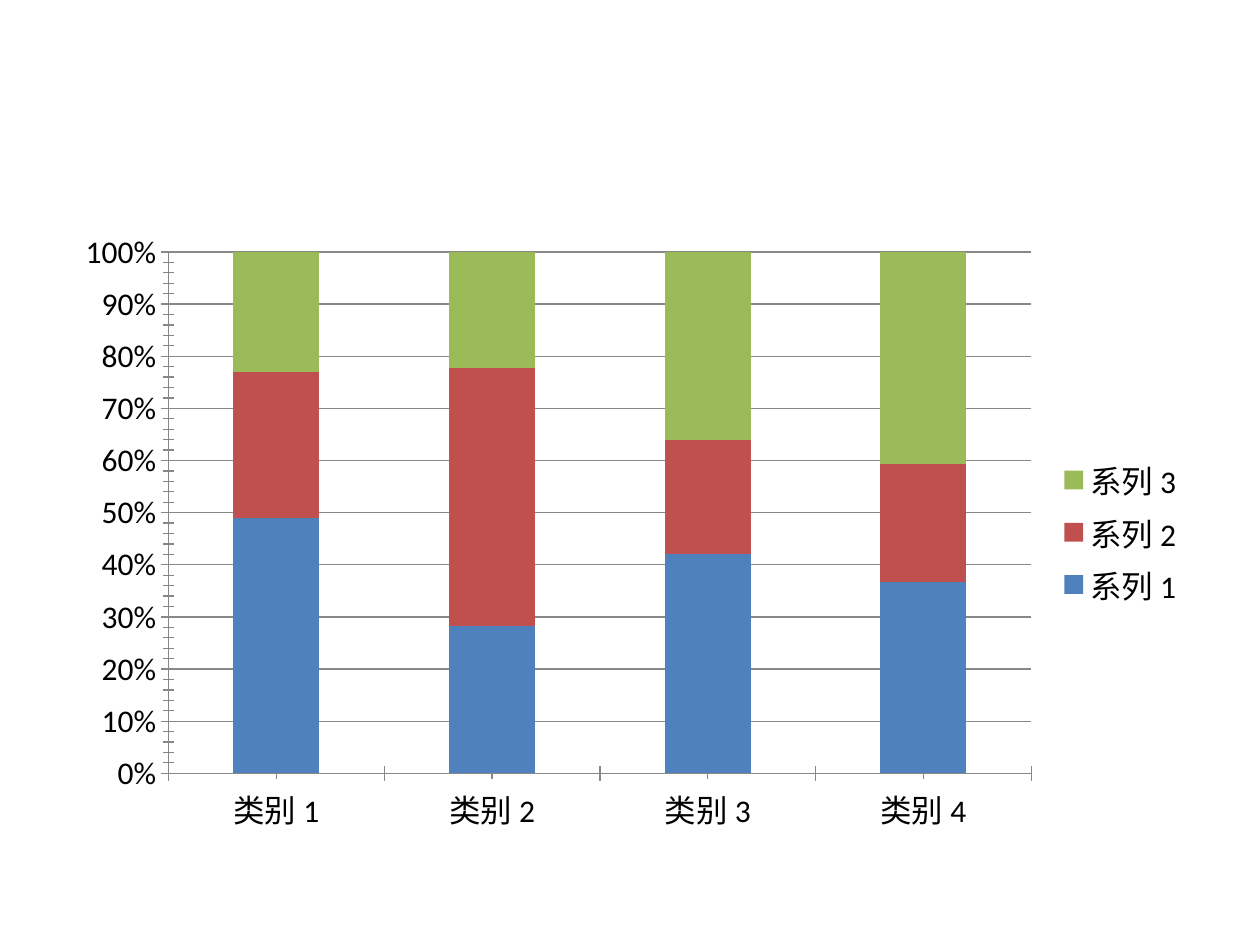
"""Build a slide with one 100% stacked column chart."""
from pptx import Presentation
from pptx.chart.data import CategoryChartData
from pptx.dml.color import RGBColor
from pptx.enum.chart import XL_CHART_TYPE, XL_LEGEND_POSITION, XL_TICK_MARK
from pptx.util import Inches, Pt

STACKED = XL_CHART_TYPE.COLUMN_STACKED_100
RIGHT = XL_LEGEND_POSITION.RIGHT
CROSS, OUTSIDE = XL_TICK_MARK.CROSS, XL_TICK_MARK.OUTSIDE
COLORS = {
    "text": "000000",
    "line": "878787",
    "系列 1": "4F81BD",
    "系列 2": "C0504D",
    "系列 3": "9BBB59",
}
SERIES = {
    "系列 1": (49, 28, 42, 37),
    "系列 2": (28, 49, 22, 23),
    "系列 3": (23, 22, 36, 41),
}

deck = Presentation()
deck.slide_width, deck.slide_height = Inches(10), Inches(7.5)
page = deck.slides.add_slide(deck.slide_layouts[6])

data = CategoryChartData()
data.categories = [f"类别 {number}" for number in range(1, 5)]
for name, values in SERIES.items():
    data.add_series(name, values)
chart = page.shapes.add_chart(
    STACKED, Inches(0.5), Inches(1.75), Inches(9), Inches(4.95), data
).chart

chart.has_title = False
chart.font.name = "Calibri"
chart.font.size = Pt(18)
chart.font.color.rgb = RGBColor.from_string(COLORS["text"])
chart.has_legend = True
chart.legend.position = RIGHT
chart.legend.include_in_layout = False

plot = chart.plots[0]
plot.gap_width = 150
plot.overlap = 100
plot.vary_by_categories = False
for series in plot.series:
    series.format.fill.solid()
    series.format.fill.fore_color.rgb = RGBColor.from_string(COLORS[series.name])

category_axis, value_axis = chart.category_axis, chart.value_axis
category_axis.major_tick_mark, category_axis.minor_tick_mark = CROSS, OUTSIDE
value_axis.major_tick_mark, value_axis.minor_tick_mark = OUTSIDE, CROSS
value_axis.minimum_scale, value_axis.maximum_scale = 0, 1
value_axis.major_unit = 0.1
value_axis.minor_unit = 0.02
value_axis.has_major_gridlines = True
value_axis.tick_labels.number_format = "0%"
value_axis.tick_labels.number_format_is_linked = False
for part in (category_axis, value_axis, value_axis.major_gridlines):
    part.format.line.color.rgb = RGBColor.from_string(COLORS["line"])
    part.format.line.width = Pt(0.75)

deck.save("out.pptx")
